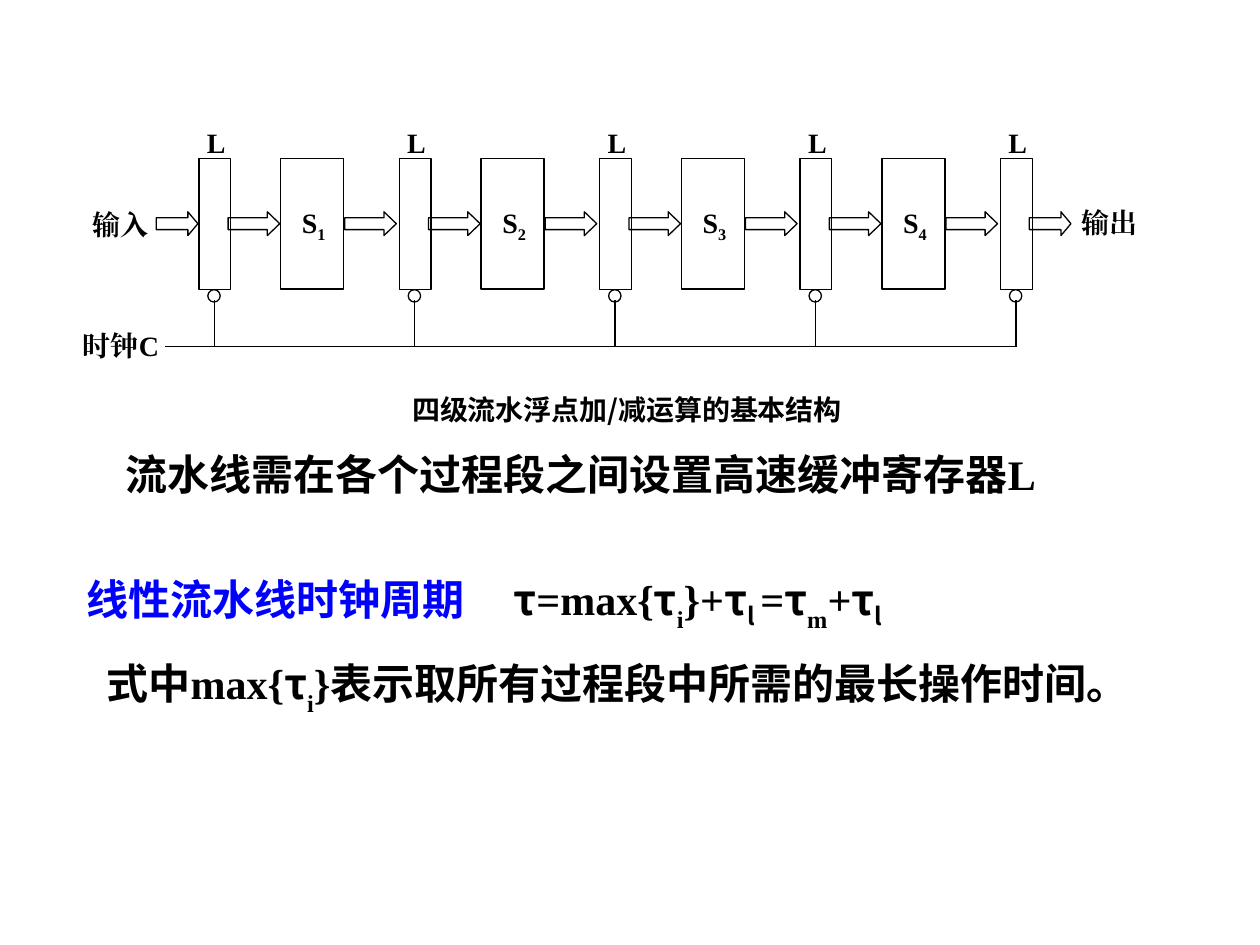
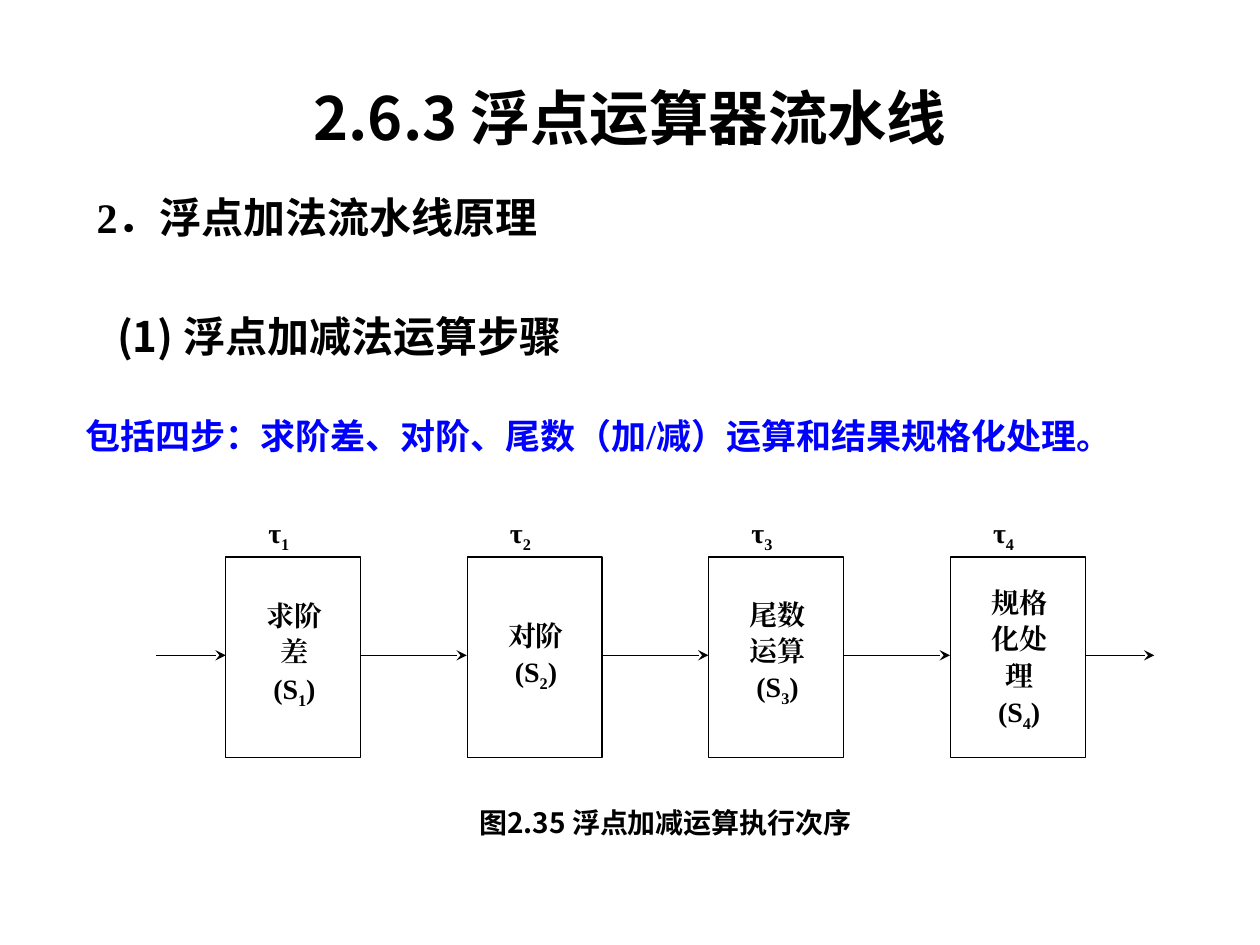
from lxml import etree
from pptx import Presentation
from pptx import util as u
from pptx.dml.color import RGBColor
from pptx.enum import shapes, text
from pptx.oxml import ns

COLORS = {"ink": "000000", "accent": "0000FF", "paper": "FFFFFF"}
SANS, SERIF = "Noto Sans CJK SC", "Times New Roman"
LEFT, CENTER = text.PP_ALIGN.LEFT, text.PP_ALIGN.CENTER
WIDE_INSET, THIN_INSET, NO_INSET = (0.25, 0.13), (0.25, 0.03), (0, 0)


def write_text(shape, paragraphs, size=16, color="ink", align=CENTER, inset=NO_INSET, after=0):
    """Fill a shape; each paragraph is a list of (text, font[, baseline percent]) runs."""
    frame = shape.text_frame
    frame.word_wrap = True
    frame.margin_left = frame.margin_right = u.Cm(inset[0])
    frame.margin_top = frame.margin_bottom = u.Cm(inset[1])
    for index, runs in enumerate(paragraphs):
        paragraph = frame.add_paragraph() if index else frame.paragraphs[0]
        paragraph.alignment = align
        paragraph.space_after = u.Pt(after)
        for words, font, *baseline in runs:
            run = paragraph.add_run()
            run.text = words
            run.font.size, run.font.bold, run.font.name = u.Pt(size), True, font
            run.font.color.rgb = RGBColor.from_string(COLORS[color])
            properties = run._r.get_or_add_rPr()
            etree.SubElement(properties, ns.qn("a:ea"), typeface=font)
            if baseline:
                properties.set("baseline", str(baseline[0] * 1000))
    return frame


def add_outline(slide, kind, *box):
    """Add a black-outlined preset shape without fill."""
    shape = slide.shapes.add_shape(kind, *map(u.Cm, box))
    shape.shadow.inherit = False
    shape.fill.background()
    shape.line.color.rgb = RGBColor.from_string(COLORS["ink"])
    shape.line.width = u.Pt(0.75)
    return shape


presentation = Presentation()
presentation.slide_width, presentation.slide_height = u.Cm(25.4), u.Cm(19.05)
structure = presentation.slides.add_slide(presentation.slide_layouts[6])
steps = presentation.slides.add_slide(presentation.slide_layouts[5])
RECTANGLE, OVAL = shapes.MSO_SHAPE.RECTANGLE, shapes.MSO_SHAPE.OVAL
lines = []   # slide, start x, start y, end x, end y, has arrowhead
labels = []  # slide, box, paragraphs, text options

# Slide 1: latch registers, clock taps and pipeline stages
LATCH_PITCH = 4.04
arrows = [(3.15, 0.84, 0.42), (20.75, 0.84, 0.42)]  # left, width, head length
for index in range(5):
    shift = index * LATCH_PITCH
    add_outline(structure, RECTANGLE, 4.01 + shift, 3.2, 0.64, 2.64)
    bubble = add_outline(structure, OVAL, 4.19 + shift, 5.84, 0.25, 0.25)
    bubble.fill.solid()
    bubble.fill.fore_color.rgb = RGBColor.from_string(COLORS["paper"])
    lines.append((structure, 4.32 + shift, 6.99, 4.32 + shift, 6.05, False))
    labels.append((structure, (4.17 + shift, 2.53, 0.53, 0.58), [[("L", SERIF)]], {"align": LEFT}))
    if index < 4:
        add_outline(structure, RECTANGLE, 5.66 + shift, 3.19, 1.27, 2.64)
        arrows += [(4.6 + shift, 1.04, 0.52), (6.95 + shift, 1.04, 0.52)]
        stage_name = [("S", SERIF), (str(index + 1), SERIF, -25)]
        labels.append((structure, (5.87 + shift, 4.14, 0.91, 0.66), [stage_name], {}))
for left, width, head in arrows:
    arrow = add_outline(structure, shapes.MSO_SHAPE.RIGHT_ARROW, left, 4.27, width, 0.48)
    arrow.adjustments[0], arrow.adjustments[1] = 0.5, head
lines.append((structure, 3.33, 6.99, 20.48, 6.99, False))

# Slide 1: input, output, clock and caption
labels += [
    (structure, (1.7, 4.19, 1.45, 0.66), [[("输入", SERIF)]], {}),
    (structure, (21.64, 4.14, 1.45, 0.66), [[("输出", SERIF)]], {}),
    (structure, (1.5, 6.63, 1.88, 0.66), [[("时钟C", SERIF)]], {}),
    (structure, (6.43, 7.92, 12.42, 1.19), [[("四级流水浮点加/减运算的基本结构", SANS)]], {}),
]

# Slide 1: explanation and clock period formula
BODY = {"size": 24, "align": LEFT, "inset": WIDE_INSET}
labels += [
    (structure, (2.29, 8.92, 22.23, 1.45),
     [[("流水线需在各个过程段之间设置高速缓冲寄存器", SANS), ("L", SERIF)]], BODY),
    (structure, (1.9, 13.13, 21.79, 1.3),
     [[("式中", SANS), ("max{", SERIF), ("τ", SANS), ("i", SERIF, -30), ("}", SERIF),
       ("表示取所有过程段中所需的最长操作时间。", SANS)]], BODY),
]
formula = [("线性流水线时钟周期", SANS), ("\tτ", SANS), ("=max{", SERIF), ("τ", SANS),
           ("i", SERIF, -30), ("}+", SERIF), ("τ", SANS), ("l ", SANS, -25), ("=", SERIF),
           ("τ", SANS), ("m", SERIF, -30), ("+", SERIF), ("τ", SANS), ("l", SANS, -25)]
period = structure.shapes.add_textbox(*map(u.Cm, (1.5, 11.53, 21.79, 1.09)))
paragraph = write_text(period, [formula], 24, align=LEFT, inset=THIN_INSET).paragraphs[0]
paragraph.runs[0].font.color.rgb = RGBColor.from_string(COLORS["accent"])
tab_list = etree.SubElement(paragraph._p.get_or_add_pPr(), ns.qn("a:tabLst"))
etree.SubElement(tab_list, ns.qn("a:tab"), pos=str(u.Cm(8.6)), algn="l")

# Slide 2: title and headings
title = steps.shapes.title
title.left, title.top, title.width, title.height = map(u.Cm, (1.27, 0.76, 22.86, 3.18))
write_text(title, [[("2.6.3 浮点运算器流水线", SANS)]], 34, inset=WIDE_INSET)
title.text_frame.vertical_anchor = text.MSO_ANCHOR.MIDDLE
labels += [
    (steps, (1.7, 3.73, 12.07, 1.45), [[("2", SERIF), ("．浮点加法流水线原理", SANS)]], BODY),
    (steps, (2.11, 6.12, 13.18, 1.27), [[("(1) 浮点加减法运算步骤", SANS)]], BODY),
    (steps, (1.47, 8.33, 23.93, 0.91),
     [[("包括四步：求阶差、对阶、尾数（加", SANS), ("/", SERIF), ("减）运算和结果规格化处理。", SANS)]],
     {"size": 20, "color": "accent", "align": LEFT, "inset": THIN_INSET}),
    (steps, (6.86, 16.23, 13.11, 1.35), [[("图2.35 浮点加减运算执行次序", SANS)]], {}),
]

# Slide 2: four steps joined by arrows
STEP_PITCH = 4.87
step_words = [(12.07, ["求阶", "差"]), (12.47, ["对阶"]),
              (12.04, ["尾数", "运算"]), (11.81, ["规格", "化处", "理"])]
for index, (label_top, words) in enumerate(step_words):
    shift = index * STEP_PITCH
    number = (str(index + 1), SERIF, -25)
    add_outline(steps, RECTANGLE, 4.55 + shift, 11.23, 2.72, 4.04)
    labels.append((steps, (5.41 + shift, 10.39, 1.32, 0.64), [[("τ", SERIF), number]],
                   {"align": LEFT}))
    paragraphs = [[(word, SERIF)] for word in words] + [[("(S", SERIF), number, (")", SERIF)]]
    labels.append((steps, (5.21 + shift, label_top, 1.45, 2.54), paragraphs, {"after": 1.5}))
    reach = 2.15 if index < 3 else 1.4
    lines.append((steps, 7.26 + shift, 13.21, 7.26 + shift + reach, 13.21, True))
lines.append((steps, 3.15, 13.21, 4.55, 13.21, True))

# Lines and labels of both slides
for slide, *ends, has_arrowhead in lines:
    connector = slide.shapes.add_connector(shapes.MSO_CONNECTOR.STRAIGHT, *map(u.Cm, ends))
    connector.line.color.rgb = RGBColor.from_string(COLORS["ink"])
    connector.line.width = u.Pt(0.75)
    if has_arrowhead:
        etree.SubElement(connector.line._get_or_add_ln(), ns.qn("a:tailEnd"), type="stealth")
    etree.SubElement(connector._element.spPr, ns.qn("a:effectLst"))
for slide, box, paragraphs, options in labels:
    write_text(slide.shapes.add_textbox(*map(u.Cm, box)), paragraphs, **options)

presentation.save("out.pptx")
